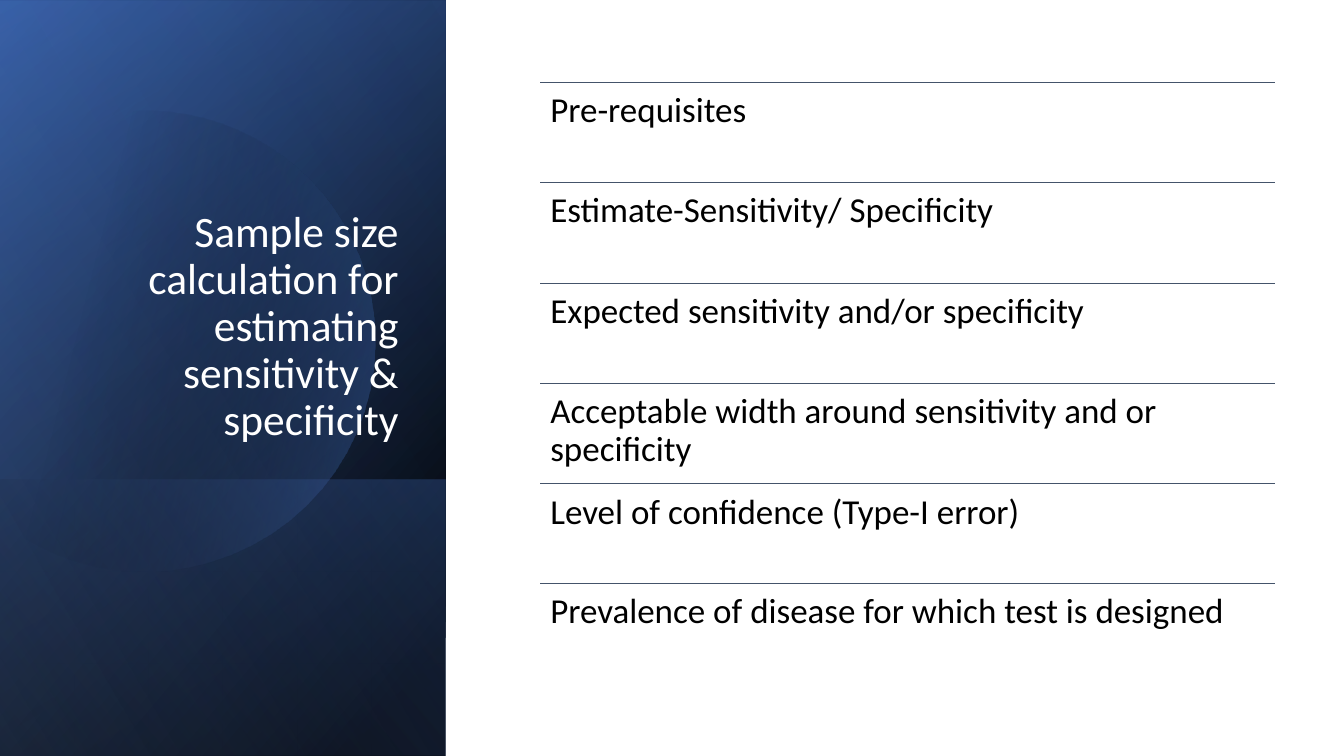
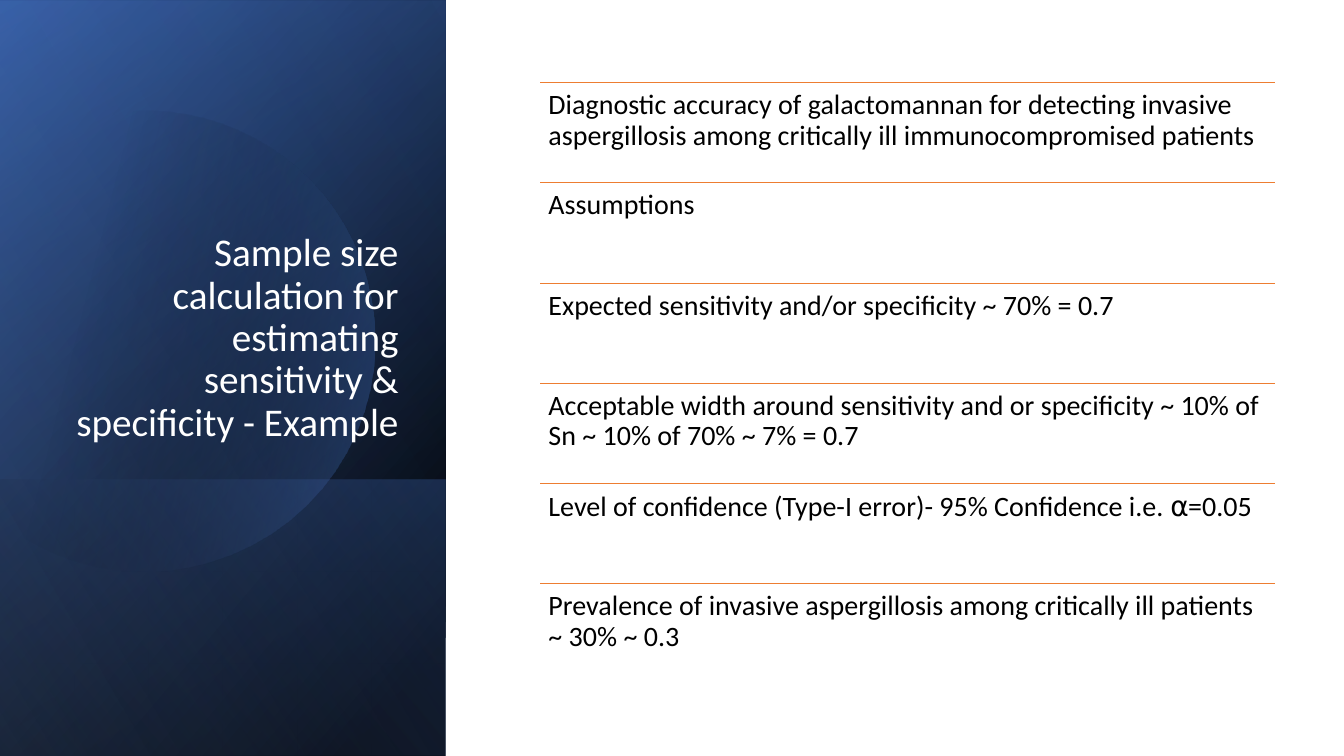
"""Build two slides on sample size for sensitivity and specificity."""
from typing import NamedTuple

from pptx import Presentation, oxml, util as u
from pptx.dml.color import RGBColor
from pptx.enum import shapes as es, text as et
from pptx.oxml.ns import nsdecls, qn
from pptx.shapes.autoshape import Shape
from pptx.slide import Slide

PX = 9144
FONT = "Calibri"
COLOURS = {
    "black": "000000",
    "white": "FFFFFF",
    "navy": "2F5597",
    "blue": "4472C4",
    "pale_blue": "8FAADC",
    "slate": "44546A",
    "orange": "ED7D31",
}


class Box(NamedTuple):
    left: int
    top: int
    width: int
    height: int

    def emu(self) -> list[int]:
        return [side * PX for side in self]


class Stop(NamedTuple):
    position: int
    colour: str
    opacity: int = 100


class Gradient(NamedTuple):
    angle: int
    start: Stop
    end: Stop


class Band(NamedTuple):
    box: Box
    gradient: Gradient


class TextStyle(NamedTuple):
    size: int
    colour: str
    align: et.PP_ALIGN
    anchor: et.MSO_ANCHOR
    inset_x: int
    inset_y: int


class Topic(NamedTuple):
    title: str
    title_size: int
    rows: list[str]
    row_size: int
    row_inset: int
    rule_colour: str


PANEL = Box(0, 0, 442, 750)
TITLE = Box(64, 184, 341, 262)
LIST = Box(536, 82, 729, 597)

BASE_BANDS = [
    Band(PANEL, Gradient(220, Stop(8, "black"), Stop(100, "navy"))),
    Band(PANEL._replace(top=1), Gradient(240, Stop(0, "black", 0), Stop(99, "blue", 46))),
    Band(Box(0, 476, 442, 274), Gradient(140, Stop(2, "blue", 29), Stop(100, "black", 30))),
]
SHEEN = Band(PANEL, Gradient(150, Stop(0, "black", 0), Stop(99, "pale_blue", 11)))

DISC_GRADIENT = Gradient(14, Stop(29, "black", 0), Stop(100, "blue", 43))
DISC_LOWER_ARC = [
    (149, 110), (246, 112), (335, 177), (363, 275), (398, 397),
    (328, 523), (207, 558), (131, 580), (53, 561), (-3, 514),
]
DISC_EDGE = [(-15, 503), (-15, 175)]
DISC_UPPER_ARC = [(0, 161), (23, 142), (50, 128), (80, 119), (103, 113), (126, 110), (149, 110)]

TOPICS = [
    Topic(
        "Sample size calculation for estimating sensitivity & specificity", 31,
        [
            "Pre-requisites",
            "Estimate-Sensitivity/ Specificity",
            "Expected sensitivity and/or specificity",
            "Acceptable width around sensitivity and or specificity",
            "Level of confidence (Type-I error)",
            "Prevalence of disease for which test is designed",
        ],
        25, 10, "slate",
    ),
    Topic(
        "Sample size calculation for estimating sensitivity & specificity - Example", 28,
        [
            "Diagnostic accuracy of galactomannan for detecting invasive aspergillosis "
            "among critically ill immunocompromised patients",
            "Assumptions",
            "Expected sensitivity and/or specificity ~ 70% = 0.7",
            "Acceptable width around sensitivity and or specificity ~ 10% of Sn ~ 10% of 70% ~ 7% = 0.7",
            "Level of confidence (Type-I error)- 95% Confidence i.e. ⍺=0.05",
            "Prevalence of invasive aspergillosis among critically ill patients ~ 30% ~ 0.3",
        ],
        20, 8, "orange",
    ),
]


def rgb(colour: str) -> RGBColor:
    return RGBColor.from_string(COLOURS[colour])


def paint(shape: Shape, gradient: Gradient) -> None:
    shape.shadow.inherit = False
    shape.line.fill.background()
    shape.fill.background()
    stops = "".join(
        f'<a:gs pos="{stop.position * 1000}"><a:srgbClr val="{COLOURS[stop.colour]}">'
        f'<a:alpha val="{stop.opacity * 1000}"/></a:srgbClr></a:gs>'
        for stop in (gradient.start, gradient.end)
    )
    fill = oxml.parse_xml(
        f'<a:gradFill {nsdecls("a")} rotWithShape="1"><a:gsLst>{stops}</a:gsLst>'
        f'<a:lin ang="{gradient.angle * 60000}" scaled="0"/></a:gradFill>'
    )
    properties = shape._element.spPr
    properties.replace(properties.find(qn("a:noFill")), fill)


def add_band(slide: Slide, band: Band) -> None:
    rectangle = slide.shapes.add_shape(es.MSO_SHAPE.RECTANGLE, *band.box.emu())
    paint(rectangle, band.gradient)


def trace_arc(knots: list[tuple[int, int]], steps: int = 16) -> list[tuple[int, int]]:
    outline = [knots[0]]
    for first in range(0, len(knots) - 1, 3):
        segment = knots[first:first + 4]
        for step in range(1, steps + 1):
            t = step / steps
            weights = ((1 - t) ** 3, 3 * t * (1 - t) ** 2, 3 * t * t * (1 - t), t ** 3)
            x, y = (sum(w * knot[axis] for w, knot in zip(weights, segment)) for axis in (0, 1))
            outline.append((x, y))
    return outline


def add_disc(slide: Slide) -> None:
    outline = trace_arc(DISC_LOWER_ARC) + DISC_EDGE + trace_arc(DISC_UPPER_ARC)
    points = [(round(x * PX), round(y * PX)) for x, y in outline]
    builder = slide.shapes.build_freeform(*points[0])
    builder.add_line_segments(points[1:], close=True)
    paint(builder.convert_to_shape(), DISC_GRADIENT)


def add_text(slide: Slide, box: Box, wording: str, style: TextStyle) -> None:
    frame = slide.shapes.add_textbox(*box.emu()).text_frame
    frame.word_wrap = True
    frame.vertical_anchor = style.anchor
    frame.margin_left = frame.margin_right = style.inset_x * PX
    frame.margin_top = frame.margin_bottom = style.inset_y * PX
    frame.text = wording
    paragraph = frame.paragraphs[0]
    paragraph.alignment = style.align
    paragraph.line_spacing = 0.9
    font = paragraph.runs[0].font
    font.name = FONT
    font.size = u.Pt(style.size)
    font.color.rgb = rgb(style.colour)


def add_rule(slide: Slide, box: Box, colour: str) -> None:
    left, top, width, _ = box.emu()
    rule = slide.shapes.add_connector(es.MSO_CONNECTOR.STRAIGHT, left, top, left + width, top)
    rule.line.color.rgb = rgb(colour)
    rule.line.width = u.Pt(0.5)
    rule._element.spPr.append(oxml.parse_xml(f'<a:effectLst {nsdecls("a")}/>'))


def add_panel(slide: Slide) -> None:
    for band in BASE_BANDS:
        add_band(slide, band)
    add_disc(slide)
    add_band(slide, SHEEN)


def add_rows(slide: Slide, topic: Topic) -> None:
    style = TextStyle(topic.row_size, "black", et.PP_ALIGN.LEFT, et.MSO_ANCHOR.TOP,
                      topic.row_inset, topic.row_inset)
    count = len(topic.rows)
    for index, wording in enumerate(topic.rows):
        row = LIST._replace(top=LIST.top + LIST.height * index // count,
                            height=LIST.height // count)
        add_rule(slide, row, topic.rule_colour)
        add_text(slide, row, wording, style)


def main() -> None:
    deck = Presentation()
    deck.slide_width, deck.slide_height = u.Inches(13.33), u.Inches(7.5)
    for topic in TOPICS:
        slide = deck.slides.add_slide(deck.slide_layouts[6])
        add_panel(slide)
        add_text(slide, TITLE, topic.title,
                 TextStyle(topic.title_size, "white", et.PP_ALIGN.RIGHT, et.MSO_ANCHOR.BOTTOM, 10, 5))
        add_rows(slide, topic)
    deck.save("out.pptx")


if __name__ == "__main__":
    main()
